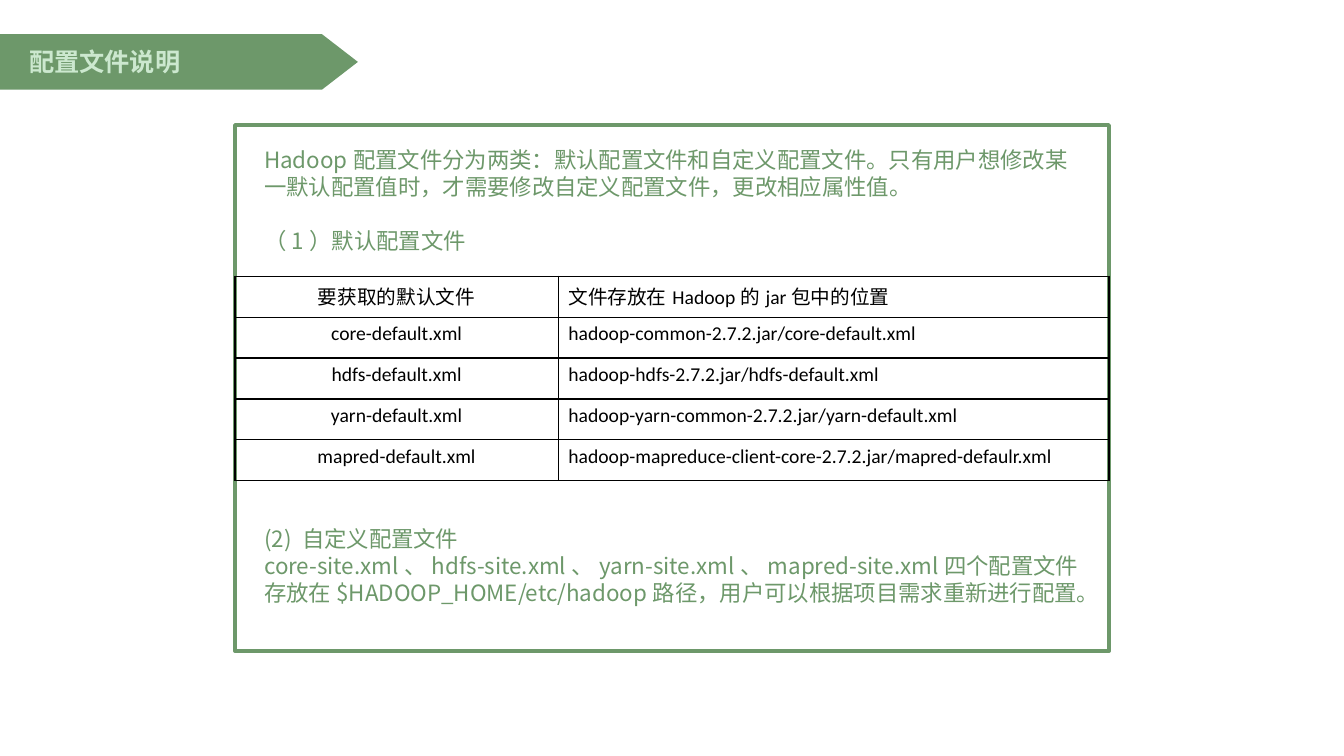
from pptx import Presentation
from pptx.dml.color import RGBColor as Rgb
from pptx.enum.shapes import MSO_SHAPE as Kind
from pptx.enum.text import MSO_ANCHOR as Anchor, MSO_AUTO_SIZE as Auto, PP_ALIGN as Align
from pptx.oxml.ns import qn
from pptx.util import Inches, Pt
from lxml.etree import SubElement as Sub

HUES = {"green": "6D986A", "pale": "CCE8CF", "black": "000000"}
HAN = "Noto Sans CJK SC"
LINE = 19.3
NOTES = [
    ("Hadoop配置文件分为两类：默认配置文件和自定义配置文件。只有用户想修改某一默认配置值时，才需要修改自定义配置文件，更改相应属性值。", 0),
    ("（1）默认配置文件", 1),
    ("(2) 自定义配置文件", 10),
    ("core-site.xml、hdfs-site.xml、yarn-site.xml、mapred-site.xml四个配置文件存放在$HADOOP_HOME/etc/hadoop路径，用户可以根据项目需求重新进行配置。", 0),
]
FILES = [
    ("要获取的默认文件", "文件存放在Hadoop的jar包中的位置"),
    ("core-default.xml", "hadoop-common-2.7.2.jar/core-default.xml"),
    ("hdfs-default.xml", "hadoop-hdfs-2.7.2.jar/hdfs-default.xml"),
    ("yarn-default.xml", "hadoop-yarn-common-2.7.2.jar/yarn-default.xml"),
    ("mapred-default.xml", "hadoop-mapreduce-client-core-2.7.2.jar/mapred-defaulr.xml"),
]


def part(box, left, top, wide, high):
    x, y, w, h = box
    return (int(x + w * left / 100), int(y + h * top / 100),
            int(w * wide / 100), int(h * high / 100))


def style(para, face, size, hue, bold=False):
    for run in para.runs:
        font = run.font
        font.name, font.size, font.bold = face, Pt(size), bold
        font.color.rgb = Rgb.from_string(HUES[hue])
        Sub(run._r.get_or_add_rPr(), qn("a:ea"), typeface=HAN)


def settle(slide, holder, box, anchor):
    holder.left, holder.top, holder.width, holder.height = box
    frame = holder.text_frame
    frame.word_wrap, frame.auto_size = True, Auto.NONE
    frame.vertical_anchor = anchor
    frame.margin_left = frame.margin_right = Inches(0.05)
    frame.margin_top = frame.margin_bottom = Inches(0.05)
    slide.shapes.element.append(holder.element)
    return frame


def banner(slide, box):
    x, y, w, h = box
    tip = w // 10
    group = slide.shapes.add_group_shape()
    bar = group.shapes.add_shape(Kind.RECTANGLE, x, y, w - tip, h)
    point = group.shapes.add_shape(
        Kind.ISOSCELES_TRIANGLE, x + w - (tip + h) // 2, y + (h - tip) // 2, h, tip)
    point.rotation = 90
    for shape in (bar, point):
        shape.shadow.inherit = False
        shape.fill.solid()
        shape.fill.fore_color.rgb = Rgb.from_string(HUES["green"])
        shape.line.fill.background()
    frame = settle(slide, slide.shapes.title, part(box, 7, 13, 76, 73), Anchor.MIDDLE)
    frame.text = "配置文件说明"
    para = frame.paragraphs[0]
    para.alignment = Align.LEFT
    style(para, HAN, 18, "pale", True)


def notes(slide, box):
    frame = settle(slide, slide.placeholders[1], box, Anchor.TOP)
    frame.text = "\n".join(text for text, _ in NOTES)
    for para, (_, gap) in zip(frame.paragraphs, NOTES):
        props = para._p.get_or_add_pPr()
        props.set("marL", "0")
        props.set("indent", "0")
        Sub(props, qn("a:buNone"))
        para.alignment = Align.LEFT
        para.line_spacing = Pt(LINE)
        para.space_before = Pt(LINE * gap)
        para.space_after = Pt(0)
        style(para, HAN, 16, "green")


def edge(cell):
    props = cell._tc.get_or_add_tcPr()
    for side in ("lnL", "lnR", "lnT", "lnB"):
        line = Sub(props, qn("a:" + side), w=str(Pt(1)))
        Sub(Sub(line, qn("a:solidFill")), qn("a:srgbClr"), val=HUES["black"])


def grid(slide, box):
    table = slide.shapes.add_table(len(FILES), 2, *box).table
    table.first_row = table.horz_banding = False
    for col, share in zip(table.columns, (0.37, 0.63)):
        col.width = int(box[2] * share)
    for r, row in enumerate(FILES):
        for c, text in enumerate(row):
            cell = table.cell(r, c)
            cell.text = text
            edge(cell)
            cell.fill.background()
            para = cell.text_frame.paragraphs[0]
            para.alignment = (Align.CENTER, Align.LEFT)[c]
            style(para, "Calibri", 14, "black")


def panel(slide, box):
    frame = slide.shapes.add_shape(Kind.RECTANGLE, *box)
    frame.shadow.inherit = False
    frame.fill.background()
    frame.line.color.rgb = Rgb.from_string(HUES["green"])
    frame.line.width = Pt(2.5)
    notes(slide, part(box, 2.77, 3.07, 94.46, 100))
    grid(slide, part(box, 0, 28.74, 100, 38.9))


def main():
    deck = Presentation()
    deck.slide_width, deck.slide_height = Inches(13.33), Inches(7.5)
    page = (0, 0, deck.slide_width, deck.slide_height)
    slide = deck.slides.add_slide(deck.slide_layouts[1])
    banner(slide, part(page, -0.08, 4.53, 26.71, 7.33))
    panel(slide, part(page, 17.48, 16.53, 65.04, 69.6))
    deck.save("out.pptx")


if __name__ == "__main__":
    main()
